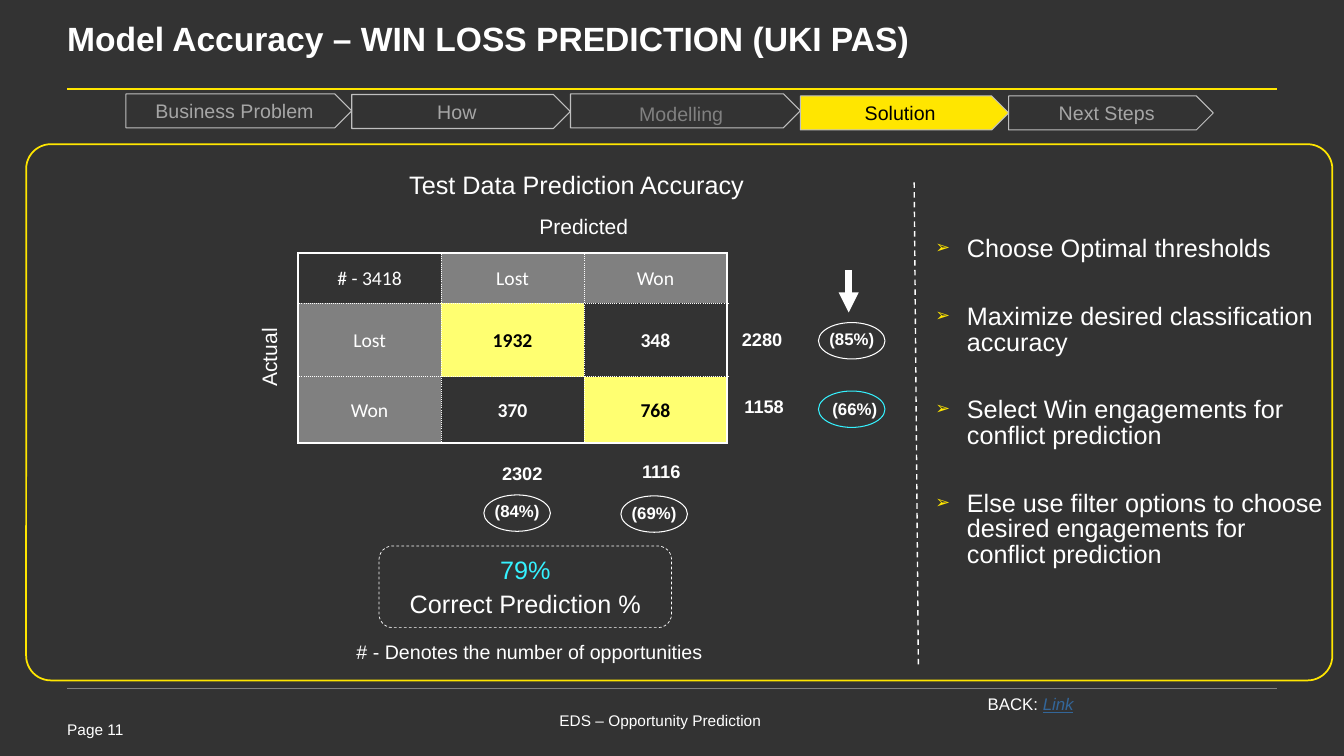
from pptx import Presentation
from pptx.dml.color import RGBColor
from pptx.enum.dml import MSO_LINE_DASH_STYLE as DASH
from pptx.enum.shapes import MSO_CONNECTOR, MSO_SHAPE as SHAPE
from pptx.enum.text import MSO_ANCHOR as ANCHOR, PP_ALIGN as ALIGN
from pptx.oxml.ns import qn
from pptx.util import Pt
from lxml.etree import SubElement

COLORS = {
    "back": "333333", "white": "FFFFFF", "black": "000000", "yellow": "FFE600",
    "hit": "FFFF71", "gray": "808080", "muted": "A6A6A6", "edge": "BFBFBF",
    "cyan": "35F2FF", "link": "336699",
}
LABELS = [
    ("Page 11", 48, 513, 70, 16, {"size": 11}),
    ("EDS – Opportunity Prediction", 399.6, 506, 181, 17, {"size": 11}),
    ("Model Accuracy – WIN LOSS PREDICTION (UKI PAS)", 48, -6.5, 864, 67.5,
     {"size": 24, "bold": True}),
    ("Test Data Prediction Accuracy", 292.3, 121, 248.5, 21.6, {"size": 18}),
]
CENTERED = [
    ("Predicted", 417, 161.3, {"size": 15}),
    ("# - Denotes the number of opportunities", 378.3, 465.8, {"size": 14}),
]
STEPS = [
    ("Business Problem", 67, 161.3, "muted", None, 0),
    ("How", 67.5, 156.2, "muted", None, 0),
    ("Modelling", 67, 164.2, "gray", None, 4.4),
    ("Solution", 68.5, 148.8, "black", "yellow", 0),
    ("Next Steps", 68.5, 146.2, "muted", None, 0),
]
STEP_LEFT, STEP_H = 90, 24.3
MATRIX = [["# - 3418", "Lost", "Won"], ["Lost", "1932", "348"], ["Won", "370", "768"]]
MATRIX_AT = (213, 180.7)
COL_W, ROW_H = 102.1, [36, 52.4, 47.4]
TALLIES = [
    ("2280", (544.3, 242.3), "(85%)", (608.4, 242.3), (608.4, 243.4), "white"),
    ("1158", (545.8, 290.5), "(66%)", (610.6, 292), (608.4, 292.3), "cyan"),
    ("2302", (373, 338), "(84%)", (369.4, 365), (369.4, 366.5), "white"),
    ("1116", (472.3, 336.6), "(69%)", (467.2, 366.5), (467.3, 367.2), "white"),
]
OVAL_W, OVAL_H = 47.5, 26
LINES = [
    ((48, 491.8), (912, 491.8), "gray", 0.25, None),
    ((48, 63.4), (912, 63.4), "yellow", 1.5, None),
    ((653, 130.3), (656, 477.4), "white", 1, DASH.DASH),
]
ARROW = ((606.2, 193), (606.2, 223.2), "white", 4.75, None)
ADVICE = [
    "Choose Optimal thresholds",
    "Maximize desired classification accuracy",
    "Select Win engagements for conflict prediction",
    "Else use filter options to choose desired engagements for conflict prediction",
]
TIGHT = {"line_spacing": 0.85, "space_after": Pt(6)}

prs = Presentation()
prs.slide_width, prs.slide_height = Pt(960), Pt(540)
s = prs.slides.add_slide(prs.slide_layouts[6])


def rgb(name):
    return RGBColor.from_string(COLORS[name])


def apply(target, values):
    for key, value in values.items():
        setattr(target, key, value)


def write(p, text, size, color="white", name="Arial", **style):
    r = p.add_run()
    r.text = text
    r.font.color.rgb = rgb(color)
    apply(r.font, {"size": Pt(size), "name": name, **style})


def frame(sp, anchor=ANCHOR.MIDDLE, top=0):
    tf = sp.text_frame
    apply(tf, {"word_wrap": True, "vertical_anchor": anchor, "margin_left": 0,
               "margin_right": 0, "margin_top": Pt(top), "margin_bottom": 0})
    return tf


def textbox(x, y, w, h, **options):
    sp = s.shapes.add_textbox(Pt(x), Pt(y), Pt(w), Pt(h))
    return sp, frame(sp, **options)


def centered(text, x, y, style, w=270, h=32):
    sp, tf = textbox(x - w / 2, y - h / 2, w, h)
    tf.paragraphs[0].alignment = ALIGN.CENTER
    write(tf.paragraphs[0], text, **style)
    return sp


def outline(kind, x, y, w, h, color, width, fill=None):
    sp = s.shapes.add_shape(kind, Pt(x), Pt(y), Pt(w), Pt(h))
    sp.shadow.inherit = False
    if fill:
        sp.fill.solid()
        sp.fill.fore_color.rgb = rgb(fill)
    else:
        sp.fill.background()
    sp.line.color.rgb = rgb(color)
    sp.line.width = Pt(width)
    return sp


def line(start, end, color, width, dash):
    cx = s.shapes.add_connector(MSO_CONNECTOR.STRAIGHT, *map(Pt, start + end))
    cx.line.color.rgb = rgb(color)
    cx.line.width = Pt(width)
    if dash:
        cx.line.dash_style = dash
    SubElement(cx._element.spPr, qn("a:effectLst"))
    return cx


def border(cell, sides):
    tcPr = cell._tc.get_or_add_tcPr()
    for i, (side, outer) in enumerate(sides.items()):
        ln = tcPr.makeelement(qn(f"a:{side}"), {"w": str(Pt(1.5 if outer else 0.5))})
        fill = SubElement(ln, qn("a:solidFill"))
        SubElement(fill, qn("a:srgbClr"), val=COLORS["white"])
        SubElement(ln, qn("a:prstDash"), val="solid" if outer else "sysDot")
        tcPr.insert(i, ln)


def add_matrix():
    n = len(MATRIX)
    table = s.shapes.add_table(n, n, *map(Pt, MATRIX_AT), Pt(COL_W * n), Pt(sum(ROW_H))).table
    apply(table, {"first_row": False, "horz_banding": False})
    for i, row in enumerate(MATRIX):
        table.rows[i].height = Pt(ROW_H[i])
        table.columns[i].width = Pt(COL_W)
        for j, text in enumerate(row):
            cell = table.cell(i, j)
            header, hit = (i == 0) != (j == 0), i == j > 0
            cell.fill.solid()
            cell.fill.fore_color.rgb = rgb("gray" if header else "hit" if hit else "back")
            apply(cell, {"vertical_anchor": ANCHOR.MIDDLE, "margin_left": Pt(0.7),
                         "margin_right": Pt(0.7), "margin_top": Pt(0.7), "margin_bottom": 0})
            p = cell.text_frame.paragraphs[0]
            p.alignment = ALIGN.CENTER
            write(p, text, 14, "black" if hit else "white", "Calibri", bold=i > 0 and j > 0)
            border(cell, {"lnL": j == 0, "lnR": j == n - 1, "lnT": i == 0, "lnB": i == n - 1})


def add_advice():
    tf = textbox(668.2, 166.3, 280, 243, anchor=ANCHOR.TOP, top=3)[1]
    for i, text in enumerate(ADVICE):
        p = tf.add_paragraph() if i else tf.paragraphs[0]
        apply(p, {**TIGHT, "space_after": Pt(30)})
        write(p, text, 18)
        pPr = p._p.get_or_add_pPr()
        pPr.set("marL", str(Pt(22.5)))
        pPr.set("indent", str(-Pt(22.5)))
        SubElement(SubElement(pPr, qn("a:buClr")), qn("a:srgbClr"), val=COLORS["yellow"])
        SubElement(pPr, qn("a:buSzPct"), val="70000")
        SubElement(pPr, qn("a:buFont"), typeface="Arial")
        SubElement(pPr, qn("a:buChar"), char="➢")


def main():
    s.background.fill.solid()
    s.background.fill.fore_color.rgb = rgb("back")
    for args in LINES:
        line(*args)
    for text, x, y, w, h, style in LABELS:
        write(textbox(x, y, w, h)[1].paragraphs[0], text, **style)
    outline(SHAPE.ROUNDED_RECTANGLE, 18.7, 103, 933, 383, "yellow", 1.25).adjustments[0] = 0.046
    add_matrix()
    arrow = line(*ARROW)
    SubElement(arrow.line._get_or_add_ln(), qn("a:tailEnd"), type="triangle")

    left = STEP_LEFT
    for text, top, width, color, fill, drop in STEPS:
        sp = outline(SHAPE.PENTAGON, left, top, width, STEP_H, "edge", 0.75, fill)
        p = frame(sp, top=drop).paragraphs[0]
        p.alignment = ALIGN.CENTER
        write(p, text, 14, color)
        left += width

    for text, x, y, style in CENTERED:
        centered(text, x, y, style)
    centered("Actual", 192, 255.2, {"size": 15}, w=78).rotation = 270
    for total, total_at, rate, rate_at, (x, y), color in TALLIES:
        outline(SHAPE.OVAL, x - OVAL_W / 2, y - OVAL_H / 2, OVAL_W, OVAL_H, color, 0.75)
        centered(total, *total_at, {"size": 13, "bold": True}, w=70)
        centered(rate, *rate_at, {"size": 12, "bold": True}, w=60)

    box = outline(SHAPE.ROUNDED_RECTANGLE, 270.7, 390, 209, 58.3, "white", 0.5)
    box.line.dash_style = DASH.DASH
    tf = textbox(252.7, 396, 245, 46, anchor=ANCHOR.TOP, top=3)[1]
    for p, text, color in ((tf.paragraphs[0], "79%", "cyan"),
                           (tf.add_paragraph(), "Correct Prediction %", "white")):
        apply(p, {**TIGHT, "alignment": ALIGN.CENTER})
        write(p, text, 18, color)

    p = centered("BACK: ", 736.2, 502.5, {"size": 12}, w=86, h=15).text_frame.paragraphs[0]
    write(p, "Link", 12, "link", italic=True, underline=True)
    add_advice()
    prs.save("out.pptx")


if __name__ == "__main__":
    main()
